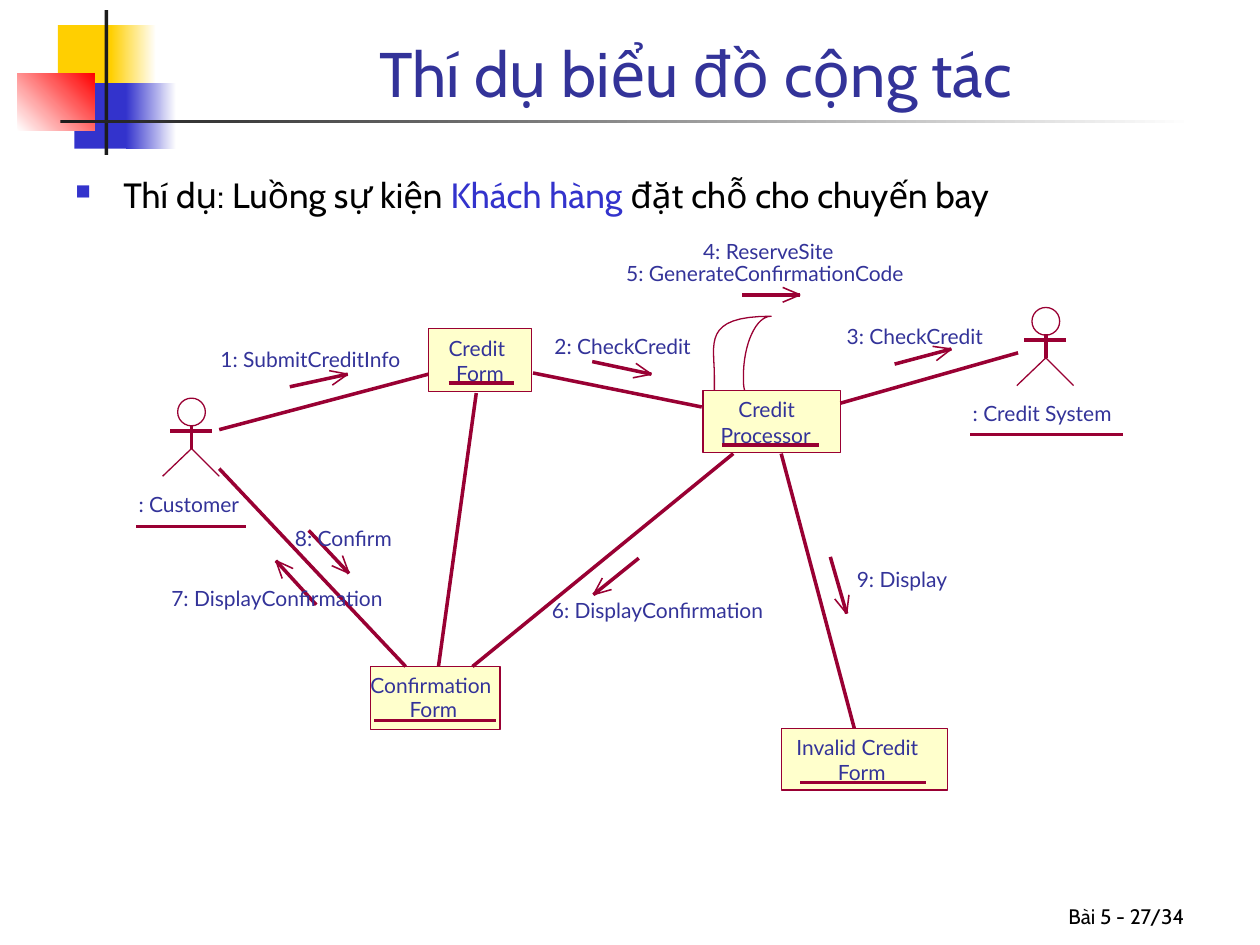
from math import atan2, cos, radians, sin

from lxml.etree import SubElement
from pptx import Presentation
from pptx.dml.color import RGBColor
from pptx.enum.shapes import MSO_CONNECTOR, MSO_SHAPE
from pptx.enum.text import MSO_ANCHOR, PP_ALIGN
from pptx.oxml.ns import qn
from pptx.util import Inches, Pt

YELLOW = RGBColor(0xFF, 0xCF, 0x01)
BLUE = RGBColor(0x33, 0x33, 0xCC)
RED = RGBColor(0xFF, 0x00, 0x00)
CHARCOAL = RGBColor(0x1C, 0x1C, 0x1C)
WHITE = RGBColor(0xFF, 0xFF, 0xFF)
BLACK = RGBColor(0x00, 0x00, 0x00)
INDIGO = RGBColor(0x33, 0x33, 0x99)
CREAM = RGBColor(0xFF, 0xFF, 0xCC)
MAROON = RGBColor(0x99, 0x00, 0x33)

deck = Presentation()
deck.slide_width, deck.slide_height = Inches(10), Inches(7.5)
page = deck.slides.add_slide(deck.slide_layouts[6])

NO_MARGINS = {"margin_left": 0, "margin_top": 0, "margin_right": 0, "margin_bottom": 0}
LABEL_FRAME = {"word_wrap": False, **NO_MARGINS}
LABEL_FONT = {"name": "Lato", "size": Pt(12)}


def add_text(area, spans, font=LABEL_FONT, frame=LABEL_FRAME, align=PP_ALIGN.LEFT):
    box = page.shapes.add_textbox(*map(Inches, area))
    for name, value in frame.items():
        setattr(box.text_frame, name, value)
    para = box.text_frame.paragraphs[0]
    para.alignment = align
    for words, color in spans:
        span = para.add_run()
        span.text = words
        for name, value in font.items():
            setattr(span.font, name, value)
        span.font.color.rgb = color
    return para


def add_line(start, end, width=0):
    line = page.shapes.add_connector(MSO_CONNECTOR.STRAIGHT, *map(Inches, (*start, *end)))
    line.line.color.rgb = MAROON
    line.line.width = Pt(width)
    SubElement(line._element.spPr, qn("a:effectLst"))


decorations = [
    ((0.46, 0.2, 0.48, 0.52), [YELLOW], 0),
    ((0.88, 0.2, 0.36, 0.52), [YELLOW, WHITE], 0),
    ((0.59, 0.66, 0.46, 0.52), [BLUE], 0),
    ((1, 0.66, 0.4, 0.52), [BLUE, WHITE], 0),
    ((0.14, 0.58, 0.61, 0.46), [WHITE, RED], 45),
    ((0.83, 0.08, 0.03, 1.15), [CHARCOAL], 0),
    ((0.48, 0.95, 9, 0.03), [CHARCOAL, WHITE], 0),
]
for area, colors, angle in decorations:
    block = page.shapes.add_shape(MSO_SHAPE.RECTANGLE, *map(Inches, area))
    block.shadow.inherit = False
    block.line.fill.background()
    if len(colors) == 1:
        block.fill.solid()
        block.fill.fore_color.rgb = colors[0]
    else:
        block.fill.gradient()
        block.fill.gradient_angle = angle
        for stop, color in zip(block.fill.gradient_stops, colors):
            stop.color.rgb = color

bottom_frame = {"word_wrap": True, "vertical_anchor": MSO_ANCHOR.BOTTOM}
add_text((7.42, 6.92, 2.08, 0.5), [("Bài 5 - 27/34", BLACK)],
         {"name": "Cabin", "size": Pt(12)}, bottom_frame, PP_ALIGN.RIGHT)
add_text((1.26, 0.08, 8.52, 0.84), [("Thí dụ biểu đồ cộng tác", INDIGO)],
         {"name": "Cabin", "size": Pt(36)}, bottom_frame, PP_ALIGN.CENTER)
bullet = add_text(
    (0.5, 1.33, 9.29, 5.5),
    [("Thí dụ: Luồng sự kiện ", BLACK), ("Khách hàng", BLUE), (" đặt chỗ cho chuyến bay", BLACK)],
    {"name": "Cabin", "size": Pt(20)}, {"word_wrap": True})
bullet.space_before = Pt(5)
bullet_format = bullet._p.get_or_add_pPr()
bullet_format.set("marL", str(Inches(0.38)))
bullet_format.set("indent", str(-Inches(0.38)))
SubElement(SubElement(bullet_format, qn("a:buClr")), qn("a:srgbClr"), val=str(BLUE))
SubElement(bullet_format, qn("a:buSzPct"), val="60000")
SubElement(bullet_format, qn("a:buChar"), char="■")

outlines = []
for x, y in [(1.52, 3.16), (8.3, 2.44)]:
    head = page.shapes.add_shape(
        MSO_SHAPE.OVAL, Inches(x - 0.11), Inches(y), Inches(0.22), Inches(0.22))
    add_line((x, y + 0.21), (x, y + 0.4))
    add_line((x - 0.17, y + 0.26), (x + 0.16, y + 0.26))
    legs = page.shapes.build_freeform(Inches(x - 0.23), Inches(y + 0.62))
    legs.add_line_segments(
        [(Inches(x), Inches(y + 0.4)), (Inches(x + 0.22), Inches(y + 0.62))], close=False)
    outlines += [head, legs.convert_to_shape()]

curves = [
    [(5.91, 3.1), (5.9, 3.06), (5.9, 3.03), (5.9, 2.99)],
    [(5.9, 2.99), (5.9, 2.73), (6, 2.51), (6.12, 2.51)],
    [(6.12, 2.51), (5.57, 2.51), (5.67, 2.73), (5.67, 2.99)],
    [(5.67, 2.99), (5.67, 3.03), (5.67, 3.06), (5.67, 3.1)],
]
STEPS = 16
loop_points = []
for curve in curves:
    for step in range(1, STEPS + 1):
        t = step / STEPS
        weights = [(1 - t) ** 3, 3 * t * (1 - t) ** 2, 3 * t ** 2 * (1 - t), t ** 3]
        loop_points.append(tuple(
            Inches(sum(weight * point[axis] for weight, point in zip(weights, curve)))
            for axis in (0, 1)))
self_loop = page.shapes.build_freeform(Inches(5.91), Inches(3.1))
self_loop.add_line_segments(loop_points, close=False)
outlines.append(self_loop.convert_to_shape())
for outline in outlines:
    outline.shadow.inherit = False
    outline.fill.background()
    outline.line.color.rgb = MAROON
    outline.line.width = Pt(0)

nodes = [(3.4, 2.61, 0.82, 0.5), (5.58, 3.1, 1.09, 0.49),
         (2.94, 5.29, 1.03, 0.5), (6.2, 5.78, 1.32, 0.49)]
for area in nodes:
    node = page.shapes.add_shape(MSO_SHAPE.RECTANGLE, *map(Inches, area))
    node.shadow.inherit = False
    node.fill.solid()
    node.fill.fore_color.rgb = CREAM
    node.line.color.rgb = MAROON
    node.line.width = Pt(0)

underlines = [(1.08, 1.95, 4.18), (3.56, 4.08, 3.04), (5.73, 6.5, 3.53),
              (7.7, 8.91, 3.45), (2.97, 3.94, 5.72), (6.35, 7.35, 6.21)]
for left, right, y in underlines:
    add_line((left, y), (right, y))

links = [
    ((1.74, 3.41), (3.4, 2.97)), ((4.23, 2.96), (5.57, 3.23)),
    ((6.67, 3.2), (8.08, 2.8)), ((5.82, 3.6), (3.75, 5.29)),
    ((6.2, 3.6), (6.78, 5.78)), ((3.48, 5.29), (3.78, 3.12)),
    ((3.22, 5.29), (1.74, 3.72)),
]
for start, end in links:
    add_line(start, end)

arrows = [
    ((5.89, 2.34), (6.35, 2.34)), ((2.3, 3.07), (2.76, 2.97)),
    ((4.7, 2.87), (5.17, 2.97)), ((7.1, 2.89), (7.55, 2.77)),
    ((5.07, 4.43), (4.71, 4.72)), ((6.59, 4.42), (6.72, 4.87)),
    ((2.51, 4.8), (2.19, 4.45)), ((2.45, 4.21), (2.77, 4.55)),
]
for start, tip in arrows:
    add_line(start, tip)
    back = atan2(start[1] - tip[1], start[0] - tip[0])
    for spread in (-23, 23):
        angle = back + radians(spread)
        add_line(tip, (tip[0] + 0.15 * cos(angle), tip[1] + 0.15 * sin(angle)), 0.88)

labels = [
    (1.1, 3.9, 0.86, ": Customer"), (7.72, 3.18, 1.18, ": Credit System"),
    (3.56, 2.66, 0.52, "Credit"), (3.62, 2.86, 0.41, "Form"),
    (5.86, 3.15, 0.52, "Credit"), (5.72, 3.35, 0.77, "Processor"),
    (2.94, 5.34, 1.08, "Confirmation"), (3.25, 5.53, 0.41, "Form"),
    (6.32, 5.83, 1.09, "Invalid Credit"), (6.65, 6.03, 0.41, "Form"),
    (1.75, 2.75, 1.53, "1: SubmitCreditInfo"), (4.4, 2.65, 1.13, "2: CheckCredit"),
    (6.72, 2.57, 1.13, "3: CheckCredit"), (5.58, 1.89, 1.09, "4: ReserveSite"),
    (4.97, 2.07, 2.35, "5: GenerateConfirmationCode"),
    (4.38, 4.74, 1.79, "6: DisplayConfirmation"),
    (1.36, 4.65, 1.79, "7: DisplayConfirmation"),
    (2.34, 4.17, 0.82, "8: Confirm"), (6.8, 4.5, 0.75, "9: Display"),
]
for left, top, width, words in labels:
    add_text((left, top, width, 0.2), [(words, INDIGO)])

deck.save("out.pptx")
